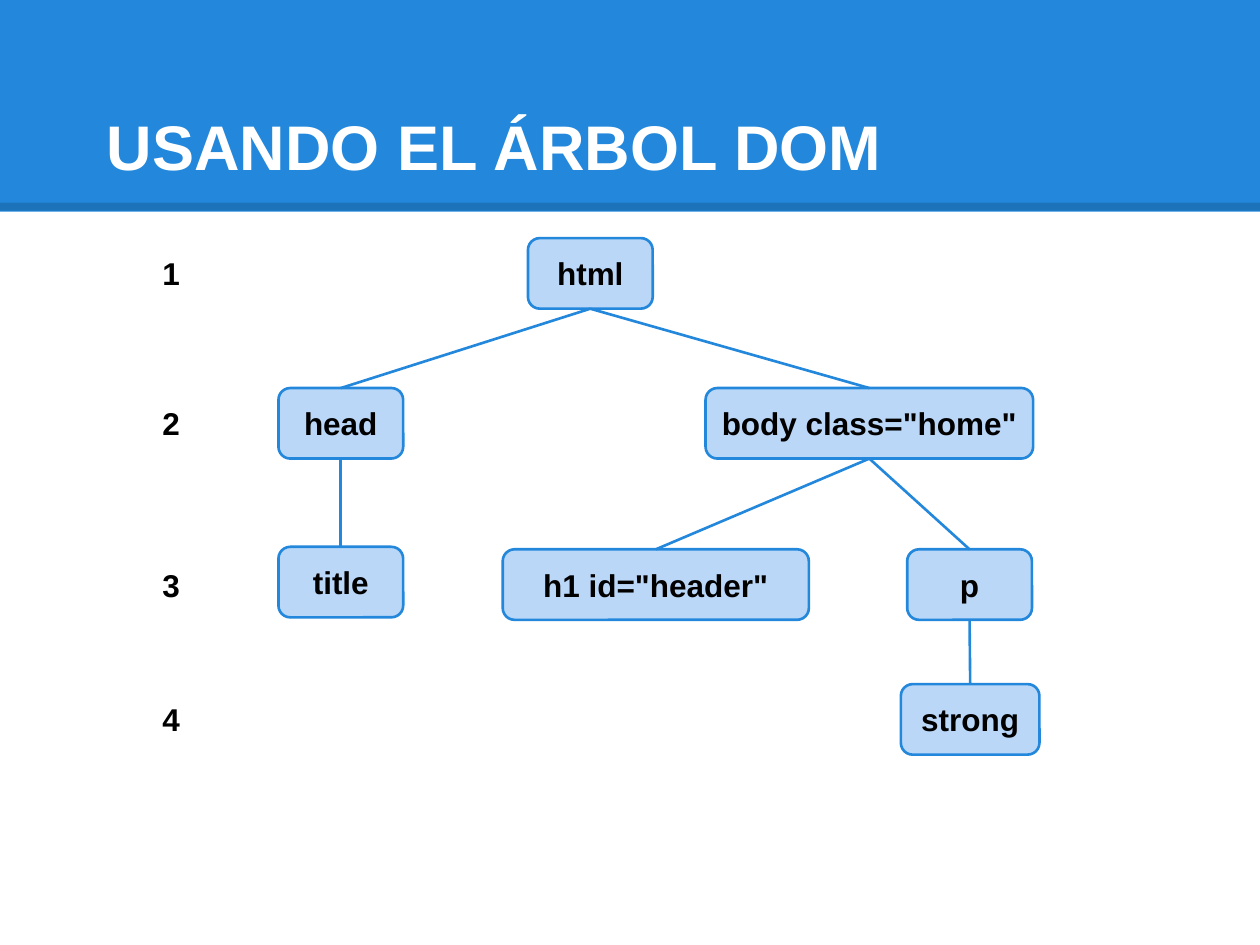
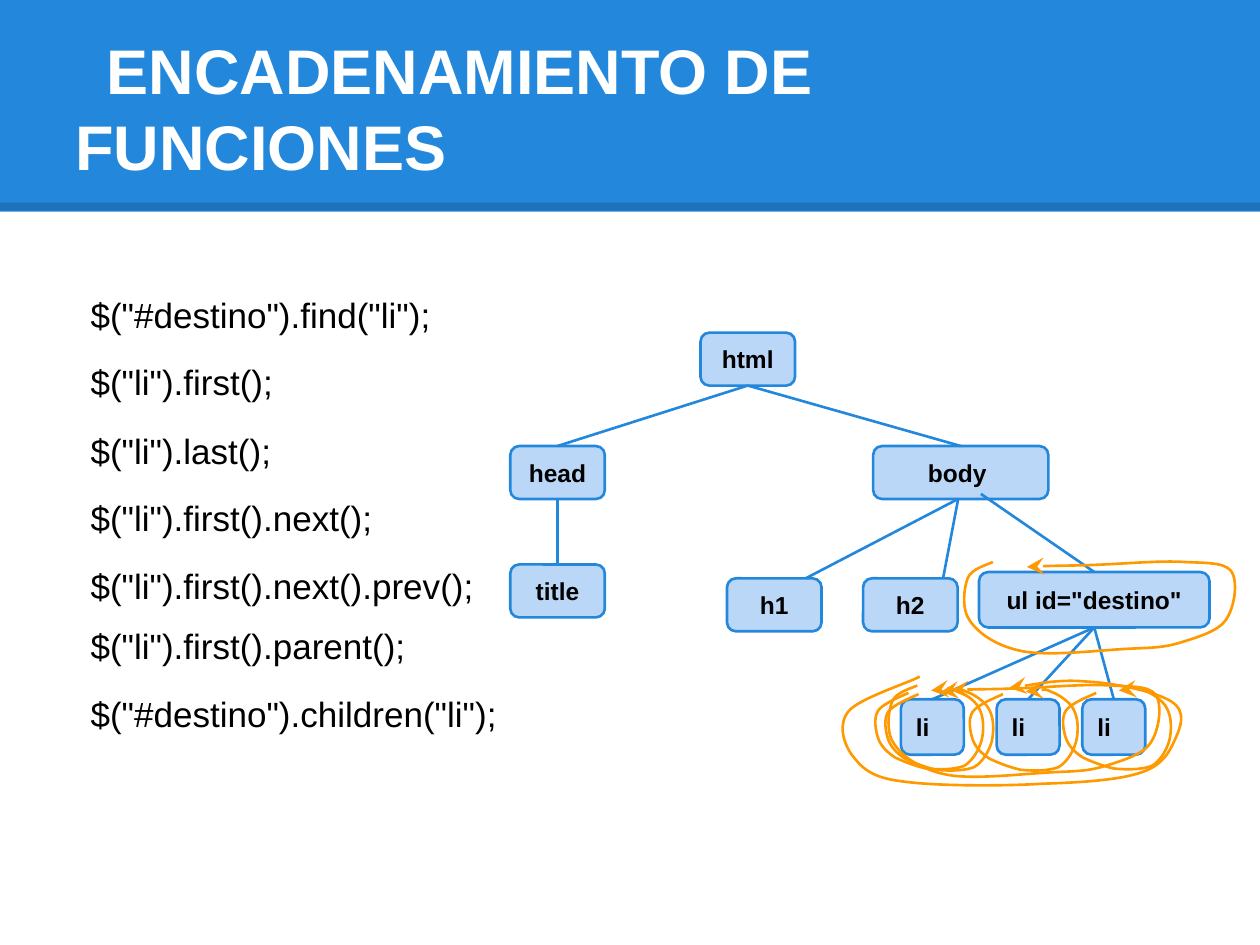
from dataclasses import dataclass

from lxml.etree import SubElement
from pptx import Presentation
from pptx.dml.color import RGBColor
from pptx.enum.shapes import MSO_CONNECTOR as Link, MSO_SHAPE as Shape
from pptx.enum.text import MSO_ANCHOR as Anchor, PP_ALIGN as Align
from pptx.oxml.ns import qn
from pptx.util import Inches, Pt

COLORS = {"blue": "2388DB", "pale": "BBD7F8", "orange": "FF9900",
          "black": "000000", "white": "FFFFFF"}
FONT = "Arial"


@dataclass
class Node:
    text: str
    x: float
    y: float
    w: float
    h: float
    parent: str = ""
    start: tuple[float, float] = (0, 0)  # shift from the parent's bottom centre
    end: float = 0  # sideways shift from the node's top centre
    align: Align = Align.CENTER


@dataclass
class Loop:
    x: float
    y: float
    curve: list[tuple[float, float]]


def color(name: str) -> RGBColor:
    return RGBColor.from_string(COLORS[name])


def set_text(shape, text: str, size: float = 18, ink: str = "black",
             bold: bool = False, align: Align = Align.LEFT,
             anchor: Anchor = Anchor.TOP, indent: float = 0) -> None:
    frame = shape.text_frame
    frame.word_wrap = True
    frame.vertical_anchor = anchor
    frame.margin_left = frame.margin_right = Inches(0.1)
    frame.margin_top = frame.margin_bottom = Inches(0.1)
    para = frame.paragraphs[0]
    para.alignment = align
    if indent:
        props = para._p.get_or_add_pPr()
        props.set("marL", "0")
        props.set("indent", str(Inches(indent)))
    run = para.add_run()
    run.text = text
    font = run.font
    font.name, font.size, font.bold = FONT, Pt(size), bold
    font.color.rgb = color(ink)


def add_text(slide, text: str, x: float, y: float, w: float, h: float,
             **style) -> None:
    box = slide.shapes.add_textbox(Inches(x), Inches(y), Inches(w), Inches(h))
    set_text(box, text, **style)


def add_line(slide, x1: float, y1: float, x2: float, y2: float,
             ink: str = "blue", width: float = 1.5):
    line = slide.shapes.add_connector(
        Link.STRAIGHT, Inches(x1), Inches(y1), Inches(x2), Inches(y2))
    line.line.color.rgb = color(ink)
    line.line.width = Pt(width)
    SubElement(line._element.spPr, qn("a:effectLst"))
    return line


def add_box(slide, kind: Shape, x: float, y: float, w: float, h: float,
            fill: str, edge: str = ""):
    box = slide.shapes.add_shape(
        kind, Inches(x), Inches(y), Inches(w), Inches(h))
    box.shadow.inherit = False
    box.fill.solid()
    box.fill.fore_color.rgb = color(fill)
    if edge:
        box.line.color.rgb = color(edge)
        box.line.width = Pt(1.5)
    else:
        box.line.fill.background()
    return box


def add_page(deck, title: str):
    """Blank slide with the blue band, its shaded edge and the title."""
    slide = deck.slides.add_slide(deck.slide_layouts[6])
    add_box(slide, Shape.RECTANGLE, 0, 0, 10, 1.68, "blue")
    edge = add_line(slide, 0, 1.64, 10, 1.64, ink="black", width=4.5)
    tint = edge.line._ln.find(".//" + qn("a:srgbClr"))
    SubElement(tint, qn("a:alpha"), val="15000")
    add_text(slide, title, 0.5, 0.3, 9, 1.25, size=36, ink="white", bold=True,
             anchor=Anchor.BOTTOM, indent=0.25)
    return slide


def add_tree(slide, nodes: list[Node], size: float) -> None:
    for node in nodes:
        box = add_box(slide, Shape.ROUNDED_RECTANGLE, node.x, node.y,
                      node.w, node.h, "pale", "blue")
        set_text(box, node.text, size=size, bold=True, align=node.align,
                 anchor=Anchor.MIDDLE)
    names = {node.text: node for node in nodes}
    for node in nodes:
        if node.parent:
            top = names[node.parent]
            dx, dy = node.start
            add_line(slide, top.x + top.w / 2 + dx, top.y + top.h + dy,
                     node.x + node.w / 2 + node.end, node.y)


def add_loop(slide, loop: Loop) -> None:
    dots = [(Inches(loop.x + x), Inches(loop.y + y)) for x, y in loop.curve]
    pen = slide.shapes.build_freeform(*dots[0])
    pen.add_line_segments(dots[1:], close=False)
    shape = pen.convert_to_shape()
    # Join every three points into one cubic curve
    track = shape._element.spPr.find(".//" + qn("a:path"))
    steps = track.findall(qn("a:lnTo"))
    for i in range(0, len(steps), 3):
        bend = SubElement(track, qn("a:cubicBezTo"))
        for step in steps[i:i + 3]:
            bend.append(step[0])
            track.remove(step)
    shape.shadow.inherit = False
    shape.fill.background()
    shape.line.color.rgb = color("orange")
    shape.line.width = Pt(1.5)
    line = shape.line._ln
    SubElement(line, qn("a:round"))
    SubElement(line, qn("a:tailEnd"), type="stealth", w="lg", len="lg")


# Hand-drawn loops, measured from their own top left corner
SMALL = [(0.26, 0.03), (0.22, 0.05), (0.06, 0.11), (0.02, 0.17),
         (-0.02, 0.23), (0, 0.33), (0.02, 0.39),
         (0.04, 0.45), (0.09, 0.5), (0.15, 0.54),
         (0.21, 0.57), (0.31, 0.61), (0.4, 0.63),
         (0.5, 0.64), (0.62, 0.64), (0.7, 0.61),
         (0.77, 0.57), (0.82, 0.48), (0.84, 0.41),
         (0.86, 0.33), (0.86, 0.22), (0.82, 0.15),
         (0.79, 0.09), (0.7, 0.03), (0.64, 0.01),
         (0.58, -0.02), (0.47, 0.01), (0.44, 0.01)]
WIDE = [(0.23, 0.01), (0.2, 0.03), (0.06, 0.06), (0.03, 0.14),
        (0, 0.22), (-0.02, 0.39), (0.05, 0.48),
        (0.12, 0.58), (0.26, 0.68), (0.47, 0.72),
        (0.68, 0.76), (1.09, 0.71), (1.3, 0.7),
        (1.51, 0.69), (1.59, 0.69), (1.72, 0.65),
        (1.85, 0.61), (2.02, 0.56), (2.08, 0.47),
        (2.15, 0.37), (2.18, 0.16), (2.12, 0.08),
        (2.06, 0.01), (1.91, 0.02), (1.74, 0.01),
        (1.57, 0), (1.33, 0.02), (1.12, 0.03),
        (0.92, 0.04), (0.61, 0.04), (0.5, 0.05)]
LARGE = [(0.62, 0), (0.53, 0.05), (0.15, 0.17), (0.06, 0.27),
         (-0.03, 0.37), (0.01, 0.52), (0.08, 0.62),
         (0.15, 0.71), (0.22, 0.8), (0.47, 0.83),
         (0.73, 0.87), (1.28, 0.87), (1.6, 0.85),
         (1.92, 0.84), (2.21, 0.82), (2.38, 0.76),
         (2.56, 0.7), (2.61, 0.58), (2.65, 0.49),
         (2.69, 0.4), (2.74, 0.28), (2.62, 0.2),
         (2.5, 0.12), (2.16, 0.05), (1.95, 0.04),
         (1.73, 0.02), (1.43, 0.08), (1.33, 0.09)]
LOOPS = [Loop(6.68, 5.37, LARGE), Loop(6.95, 5.47, SMALL),
         Loop(8.44, 5.47, SMALL), Loop(7.7, 5.48, SMALL),
         Loop(7.03, 5.48, SMALL), Loop(7.65, 4.45, WIDE),
         Loop(7.05, 5.43, WIDE)]

HOME, BODY, LIST = 'body class="home"', "body ", 'ul id="destino"'
DOM = [Node("html", 4.19, 1.89, 0.99, 0.56),
       Node("head", 2.21, 3.08, 0.99, 0.56, "html"),
       Node(HOME, 5.6, 3.08, 2.6, 0.56, "html"),
       Node("title", 2.21, 4.34, 0.99, 0.56, "head"),
       Node('h1 id="header"', 3.99, 4.36, 2.43, 0.56, HOME),
       Node("p", 7.2, 4.36, 0.99, 0.56, HOME),
       Node("strong", 7.15, 5.43, 1.1, 0.56, "p")]
CHAIN = [Node("html", 5.56, 2.64, 0.75, 0.42),
         Node("head", 4.05, 3.54, 0.75, 0.42, "html"),
         Node(BODY, 6.93, 3.54, 1.39, 0.42, "html"),
         Node("title", 4.05, 4.48, 0.75, 0.42, "head"),
         Node("h1", 5.77, 4.59, 0.75, 0.42, BODY, (-0.02, 0), 0.25),
         Node("h2", 6.85, 4.59, 0.75, 0.42, BODY, (-0.02, 0), 0.26),
         Node(LIST, 7.77, 4.54, 1.83, 0.44, BODY, (0.16, -0.04))]
CHAIN += [Node("li", x, 5.55, 0.5, 0.44, LIST, align=Align.LEFT)
          for x in (7.15, 7.91, 8.59)]
LEVELS = [1.92, 3.11, 4.39, 5.46]
CALLS = [(2.23, '$("#destino").find("li");'),
         (2.76, '$("li").first();'),
         (3.31, '$("li").last();'),
         (3.84, '$("li").first().next();'),
         (4.38, '$("li").first().next().prev();'),
         (4.86, '$("li").first().parent();'),
         (5.4, '$("#destino").children("li");')]


def main() -> None:
    deck = Presentation()
    deck.slide_width, deck.slide_height = Inches(10), Inches(7.5)

    # The DOM tree with its levels
    slide = add_page(deck, "USANDO EL ÁRBOL DOM")
    add_tree(slide, DOM, 18)
    for level, y in enumerate(LEVELS, 1):
        add_text(slide, str(level), 1.19, y, 0.53, 0.5, bold=True)

    # Chained calls and the nodes they select
    slide = add_page(deck, "ENCADENAMIENTO DE FUNCIONES")
    add_tree(slide, CHAIN, 14)
    for y, call in CALLS:
        add_text(slide, call, 0.62, y, 3.68, 0.53, size=20)
    for loop in LOOPS:
        add_loop(slide, loop)

    deck.save("out.pptx")


if __name__ == "__main__":
    main()
